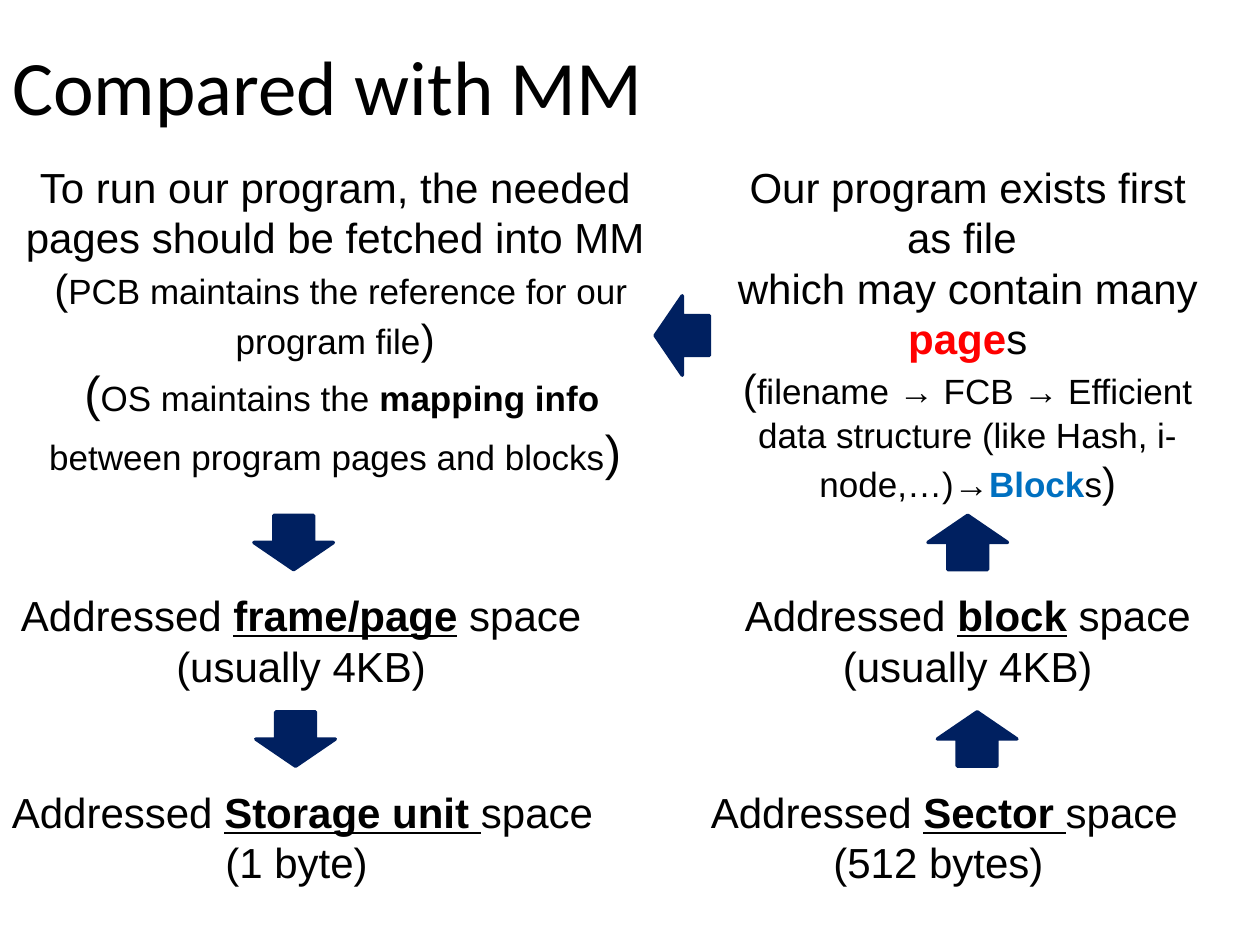
from dataclasses import dataclass, field

import pptx
import pptx.dml.color
import pptx.enum.shapes
import pptx.enum.text
import pptx.util

Pt = pptx.util.Pt
RGBColor = pptx.dml.color.RGBColor
Align = pptx.enum.text.PP_ALIGN
Anchor = pptx.enum.text.MSO_ANCHOR
AutoSize = pptx.enum.text.MSO_AUTO_SIZE

BLACK = RGBColor(0x00, 0x00, 0x00)
RED = RGBColor(0xFF, 0x00, 0x00)
BLUE = RGBColor(0x00, 0x70, 0xC0)
NAVY = RGBColor(0x00, 0x20, 0x60)

ARROW_WIDTH, ARROW_HEIGHT = 45.4, 31
SPACE_HEIGHT = 65.5
PAGE_LEVEL, UNIT_LEVEL = 333.4, 445.7
UPPER_ARROWS, LOWER_ARROWS = 294.5, 406.8


@dataclass
class Piece:
    text: str
    size: float = 24
    color: RGBColor = BLACK
    bold: bool = False
    underline: bool = False


@dataclass
class Passage:
    left: float
    top: float
    width: float
    height: float
    paragraphs: list[list[Piece]]
    font: str = "Arial"
    alignment: Align = Align.CENTER
    frame: dict = field(default_factory=lambda: {
        "word_wrap": True, "auto_size": AutoSize.SHAPE_TO_FIT_TEXT})


@dataclass
class Arrow:
    left: float
    top: float
    rotation: float = 0


def address_space(left: float, top: float, width: float,
                  unit: str, rest: str, size: str) -> Passage:
    """Describe one addressed space: its underlined unit, then its size."""
    return Passage(left, top, width, SPACE_HEIGHT, [
        [Piece("Addressed "), Piece(unit, bold=True, underline=True), Piece(rest)],
        [Piece(size)],
    ], frame={"word_wrap": False, "auto_size": AutoSize.SHAPE_TO_FIT_TEXT})


def draw_passage(slide, passage: Passage) -> None:
    box = slide.shapes.add_textbox(Pt(passage.left), Pt(passage.top),
                                   Pt(passage.width), Pt(passage.height))
    frame = box.text_frame
    for name, value in passage.frame.items():
        setattr(frame, name, value)
    for index, pieces in enumerate(passage.paragraphs):
        paragraph = frame.add_paragraph() if index else frame.paragraphs[0]
        paragraph.alignment = passage.alignment
        for piece in pieces:
            run = paragraph.add_run()
            run.text = piece.text
            run.font.color.rgb = piece.color
            formats = {"name": passage.font, "size": Pt(piece.size),
                       "bold": piece.bold, "underline": piece.underline}
            for name, value in formats.items():
                setattr(run.font, name, value)


def draw_arrow(slide, arrow: Arrow) -> None:
    shape = slide.shapes.add_shape(
        pptx.enum.shapes.MSO_SHAPE.UP_ARROW, Pt(arrow.left), Pt(arrow.top),
        Pt(ARROW_WIDTH), Pt(ARROW_HEIGHT))
    shape.rotation = arrow.rotation
    shape.shadow.inherit = False
    shape.fill.solid()
    shape.fill.fore_color.rgb = NAVY
    shape.line.color.rgb = NAVY
    shape.line.width = Pt(2)


TITLE = Passage(0, 22.3, 648, 51.8, [[Piece("Compared with MM", 44)]],
                font="Calibri", alignment=Align.LEFT,
                frame={"word_wrap": True, "vertical_anchor": Anchor.MIDDLE})

# Sizes and units of the four address spaces
ADDRESS_SPACES = [
    address_space(-2.2, UNIT_LEVEL, 350, "Storage unit ", "space", "(1 byte) "),
    address_space(397.4, UNIT_LEVEL, 284.4, "Sector ", "space", "(512 bytes) "),
    address_space(2.9, PAGE_LEVEL, 338.4, "frame/page", " space", "(usually 4KB)"),
    address_space(416.9, PAGE_LEVEL, 272.2, "block", " space", "(usually 4KB)"),
]

# Program on disk
PROGRAM_FILE = Passage(406.1, 88.6, 293.8, 205.9, [
    [Piece("Our program exists first as file ")],
    [Piece("which may contain many "), Piece("page", color=RED, bold=True), Piece("s")],
    [Piece("("),
     Piece("filename → FCB → Efficient data structure (like Hash, i-node,…)→", 20),
     Piece("Block", 20, BLUE, bold=True), Piece("s", 20), Piece(")")],
])

# Program in main memory
PROGRAM_IN_MEMORY = Passage(2.9, 88.6, 377.3, 191.5, [
    [Piece("To run our program, the needed pages should be fetched into MM")],
    [Piece(" ("), Piece("PCB maintains the reference for our program file", 20),
     Piece(")")],
    [Piece(" (", 28), Piece("OS maintains the ", 20),
     Piece("mapping info", 20, bold=True),
     Piece(" between program pages and blocks", 20), Piece(")", 28)],
])

# Flow: up from the sectors, across to memory, down to the bytes
FLOW = [
    Arrow(146.2, LOWER_ARROWS, 180),
    Arrow(535.7, LOWER_ARROWS),
    Arrow(530.3, UPPER_ARROWS),
    Arrow(367.2, 176.2, 270),
    Arrow(145.1, UPPER_ARROWS, 180),
]


def main() -> None:
    deck = pptx.Presentation()
    deck.slide_width, deck.slide_height = Pt(720), Pt(540)
    slide = deck.slides.add_slide(deck.slide_layouts[6])
    for passage in [TITLE, *ADDRESS_SPACES, PROGRAM_FILE, PROGRAM_IN_MEMORY]:
        draw_passage(slide, passage)
    for arrow in FLOW:
        draw_arrow(slide, arrow)
    deck.save("out.pptx")


if __name__ == "__main__":
    main()
